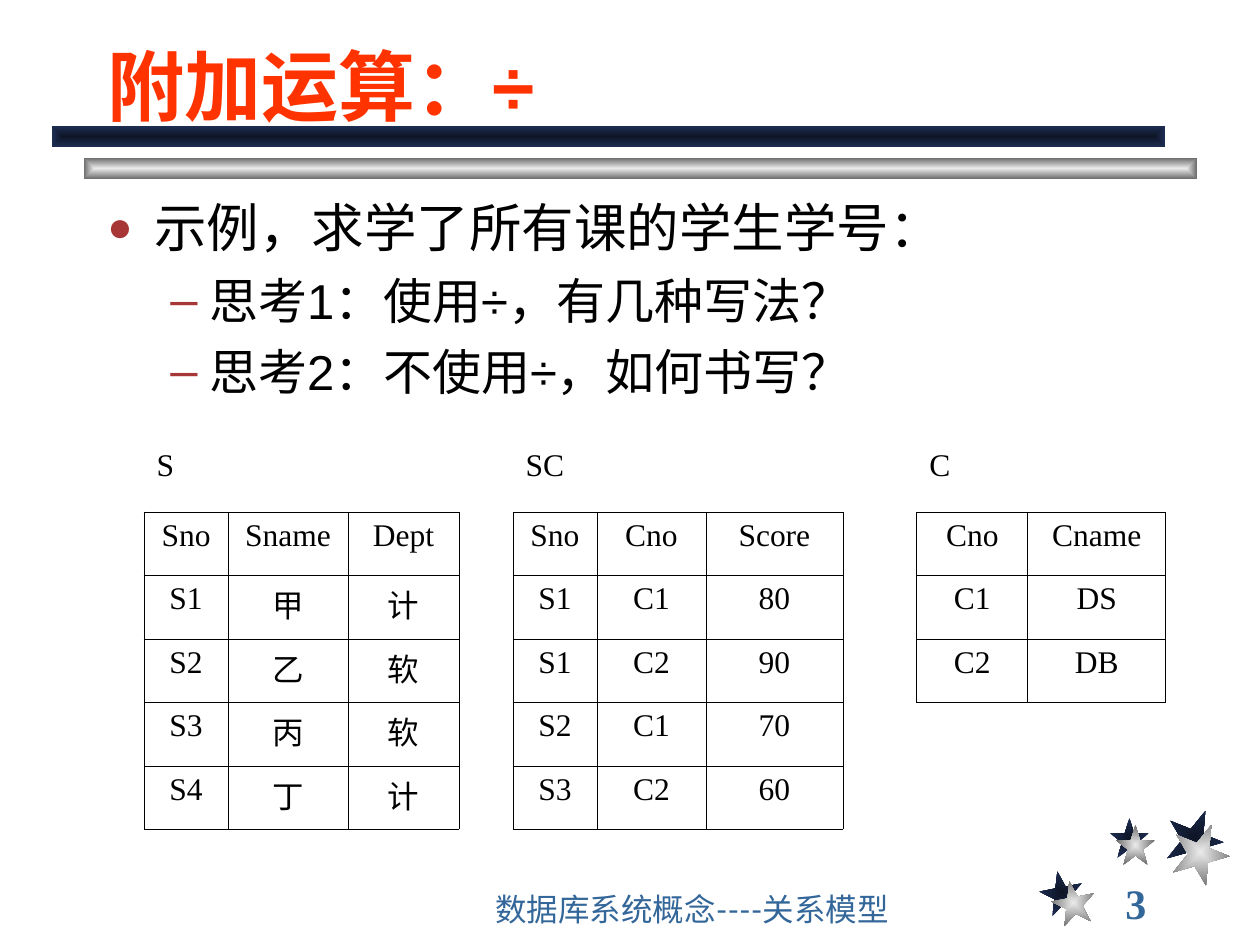
from lxml.etree import SubElement
from pptx import Presentation
from pptx.dml.color import RGBColor
from pptx.enum.shapes import MSO_SHAPE as Shape
from pptx.enum.text import MSO_ANCHOR as Anchor, PP_ALIGN as Align
from pptx.oxml.ns import qn
from pptx.util import Emu, Pt

NAVY, SILVER = ("0E1526", "1E2E53"), ("EAEAEA", "6C6C6C")
BULLET, BLACK = "A73737", "000000"
SERIF = "Times New Roman"
NO_STYLE = "{2D5ABB26-0587-4C30-8999-92F81FD0307C}"

STARS = [  # left, top, width, height, rotation, colours
    (1040, 871, 43, 43, -11, NAVY),
    (1110, 818, 39, 40, 0, NAVY),
    (1166, 809, 57, 58, 22, NAVY),
    (1052, 881, 43, 43, -11, SILVER),
    (1116, 825, 39, 40, 0, SILVER),
    (1172, 823, 57, 58, 22, SILVER),
]
BARS = [(84, 158, 1113, 21, 0, SILVER), (52, 126, 1113, 21, 0, NAVY)]
LABELS = [  # box, anchor, text, size, font, colour, bold
    ((1113, 882, 136, 42), Anchor.MIDDLE, "3", 24, SERIF, "336699", True),
    ((483, 892, 514, 42), Anchor.BOTTOM, "数据库系统概念----关系模型", 18, "Lato", "336699", False),
    ((95, 21, 1071, 116), Anchor.BOTTOM, "附加运算：÷", 44, "Arial", "FF3300", True),
]
BODY_BOX = (95, 189, 1071, 234)
BODY = [  # text, level, size, space before, left margin, hang, bullet, bullet size
    ("示例，求学了所有课的学生学号：", 0, 30, 0, 47, 47, "●", 80),
    ("思考1：使用÷，有几种写法？", 1, 28, 7, 102, 39, "–", 100),
    ("思考2：不使用÷，如何书写？", 1, 28, 7, 102, 39, "–", 100),
]
TABLE_LEFT, TABLE_TOP = 144, 442
COLUMNS = [84, 120, 111, 54, 84, 109, 137, 74, 111, 138]
ROWS = [70, 63, 64, 63, 64, 63]
RELATIONS = [  # first column, name, rows
    (0, "S", [("Sno", "Sname", "Dept"), ("S1", "甲", "计"), ("S2", "乙", "软"),
              ("S3", "丙", "软"), ("S4", "丁", "计")]),
    (4, "SC", [("Sno", "Cno", "Score"), ("S1", "C1", "80"), ("S1", "C2", "90"),
               ("S2", "C1", "70"), ("S3", "C2", "60")]),
    (8, "C", [("Cno", "Cname"), ("C1", "DS"), ("C2", "DB")]),
]


def px(value):
    return Emu(round(value * 914400 / 126))


def color(value):
    return RGBColor.from_string(value)


def style(paragraph, size, font, hue, bold=False):
    for run in paragraph.runs:
        run.font.size, run.font.name, run.font.bold = Pt(size), font, bold
        run.font.color.rgb = color(hue)


def add_gradient_shape(slide, kind, left, top, width, height, rotation, hues):
    shape = slide.shapes.add_shape(kind, *map(px, (left, top, width, height)))
    shape.rotation = rotation
    shape.shadow.inherit = False
    shape.line.fill.background()
    shape.fill.gradient()
    for stop, hue in zip(shape.fill.gradient_stops, hues):
        stop.color.rgb = color(hue)
    gradient = shape._element.spPr.find(qn("a:gradFill"))
    gradient.remove(gradient.find(qn("a:lin")))
    route = SubElement(gradient, qn("a:path"), path="rect")
    SubElement(route, qn("a:fillToRect"), {side: "50000" for side in "ltrb"})


def add_text_frame(slide, box, anchor):
    text_frame = slide.shapes.add_textbox(*map(px, box)).text_frame
    text_frame.word_wrap = True
    text_frame.vertical_anchor = anchor
    return text_frame


def add_body(slide):
    text_frame = add_text_frame(slide, BODY_BOX, Anchor.TOP)
    text_frame.text = "\n".join(item[0] for item in BODY)
    for paragraph, item in zip(text_frame.paragraphs, BODY):
        _, level, size, before, margin, hang, bullet, percent = item
        paragraph.level = level
        paragraph.space_before = Pt(before)
        properties = paragraph._p.get_or_add_pPr()
        properties.set("marL", str(px(margin)))
        properties.set("indent", str(-px(hang)))
        SubElement(SubElement(properties, qn("a:buClr")), qn("a:srgbClr"), val=BULLET)
        SubElement(properties, qn("a:buSzPct"), val=str(percent * 1000))
        SubElement(properties, qn("a:buFont"), typeface="Arial")
        SubElement(properties, qn("a:buChar"), char=bullet)
        style(paragraph, size, "Arial", BLACK)


def fill_cell(cell, text, align):
    cell.text = text
    paragraph = cell.text_frame.paragraphs[0]
    paragraph.alignment = align
    style(paragraph, 18, SERIF, BLACK)


def add_borders(cell):
    properties = cell._tc.get_or_add_tcPr()
    for side in "LRTB":
        line = SubElement(properties, qn(f"a:ln{side}"), w=str(Pt(0.45)))
        SubElement(SubElement(line, qn("a:solidFill")), qn("a:srgbClr"), val=BLACK)


def add_relations(slide):
    box = (TABLE_LEFT, TABLE_TOP, sum(COLUMNS), sum(ROWS))
    table = slide.shapes.add_table(len(ROWS), len(COLUMNS), *map(px, box)).table
    table.first_row = table.horz_banding = False
    table._tbl.tblPr.find(qn("a:tableStyleId")).text = NO_STYLE
    for column, width in zip(table.columns, COLUMNS):
        column.width = px(width)
    for row, height in zip(table.rows, ROWS):
        row.height = px(height)
    for first, name, records in RELATIONS:
        fill_cell(table.cell(0, first), name, Align.LEFT)
        for row, record in enumerate(records, 1):
            for column, value in enumerate(record, first):
                fill_cell(table.cell(row, column), value, Align.CENTER)
                add_borders(table.cell(row, column))
    for cell in table.iter_cells():
        cell.fill.background()


def main():
    """Build the slide on relational division with its three sample relations."""
    presentation = Presentation()
    presentation.slide_width, presentation.slide_height = px(1260), px(945)
    slide = presentation.slides.add_slide(presentation.slide_layouts[6])
    for star in STARS:
        add_gradient_shape(slide, Shape.STAR_5_POINT, *star)
    for bar in BARS:
        add_gradient_shape(slide, Shape.RECTANGLE, *bar)
    for box, anchor, text, *look in LABELS:
        text_frame = add_text_frame(slide, box, anchor)
        text_frame.text = text
        style(text_frame.paragraphs[0], *look)
    add_body(slide)
    add_relations(slide)
    presentation.save("out.pptx")


if __name__ == "__main__":
    main()
